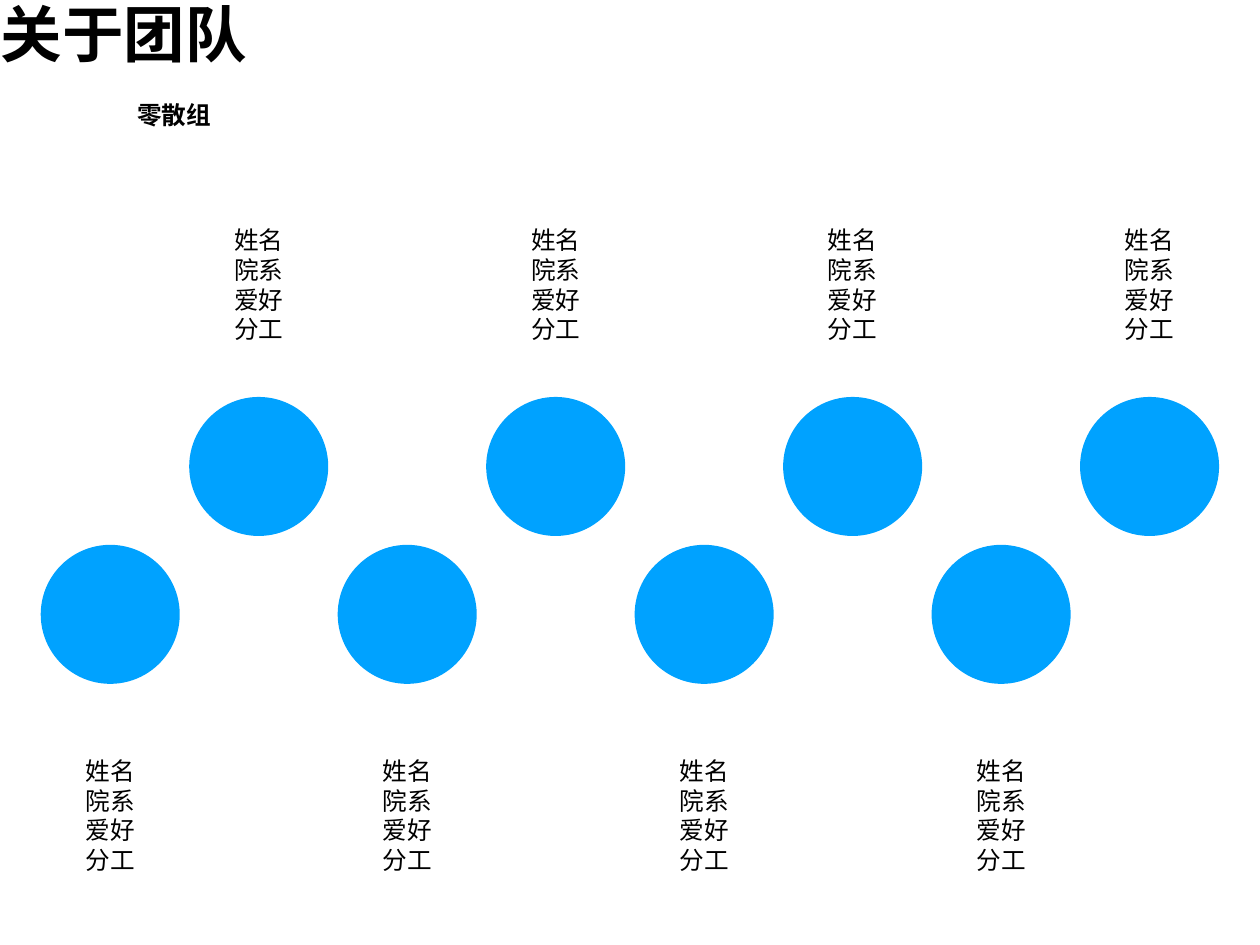
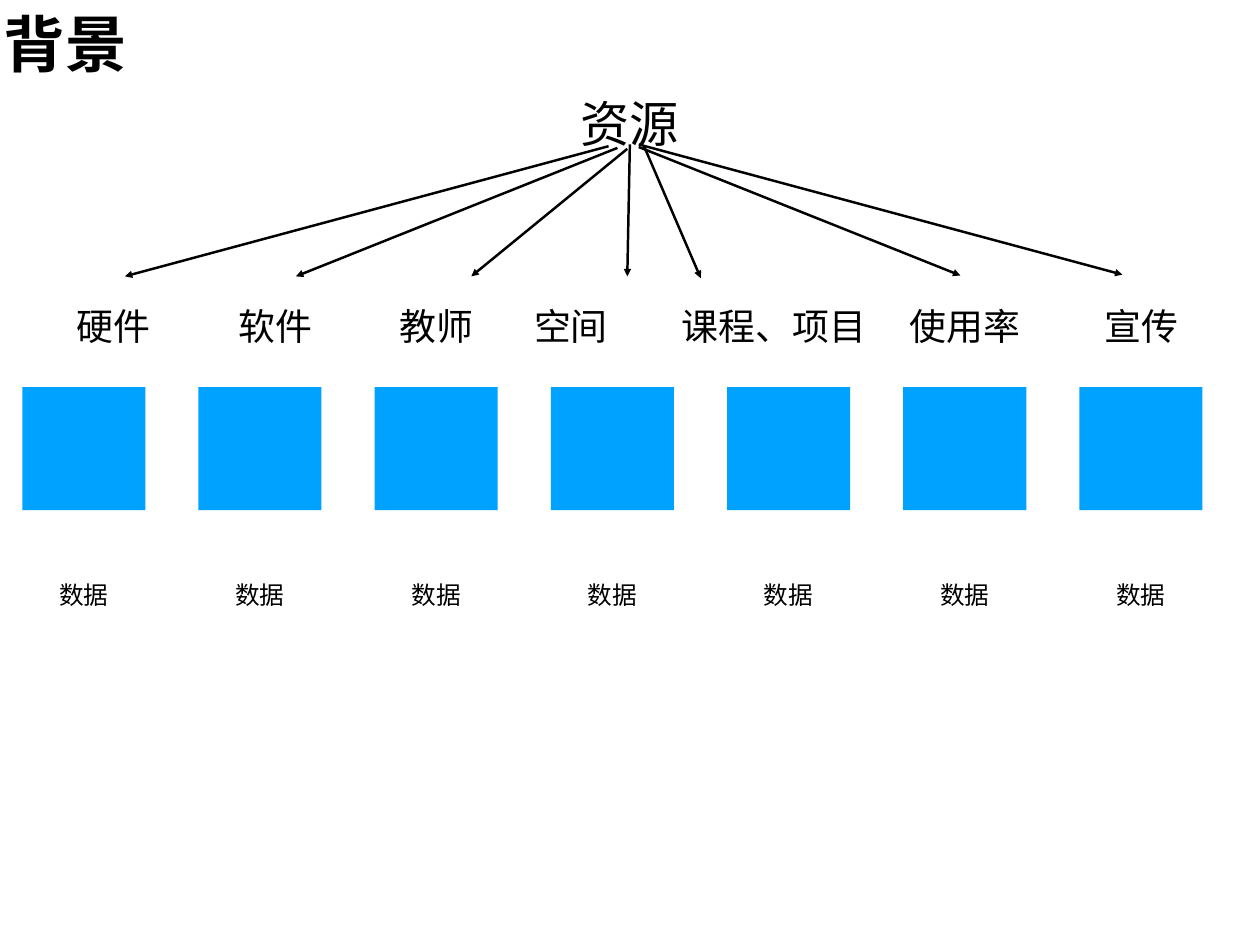
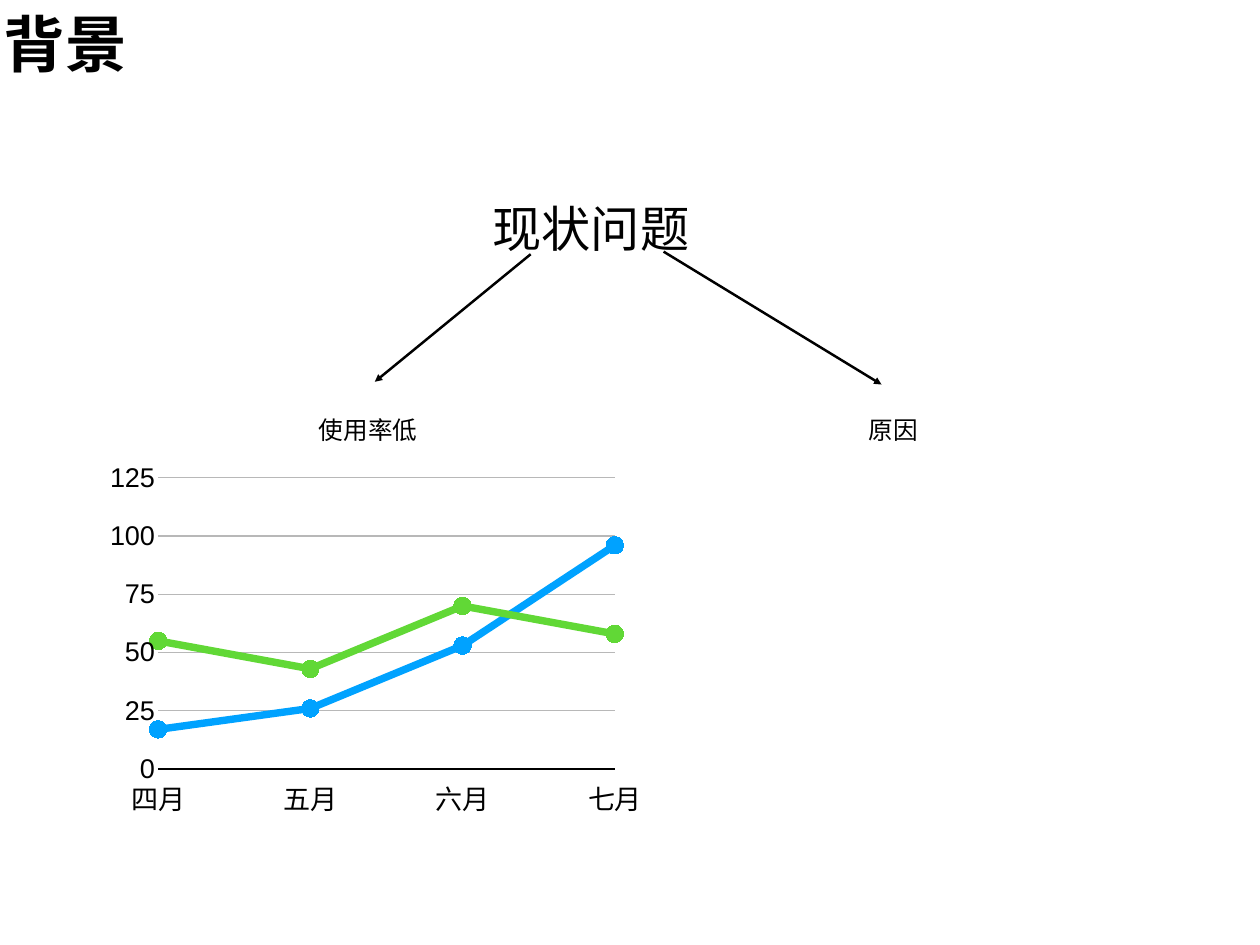
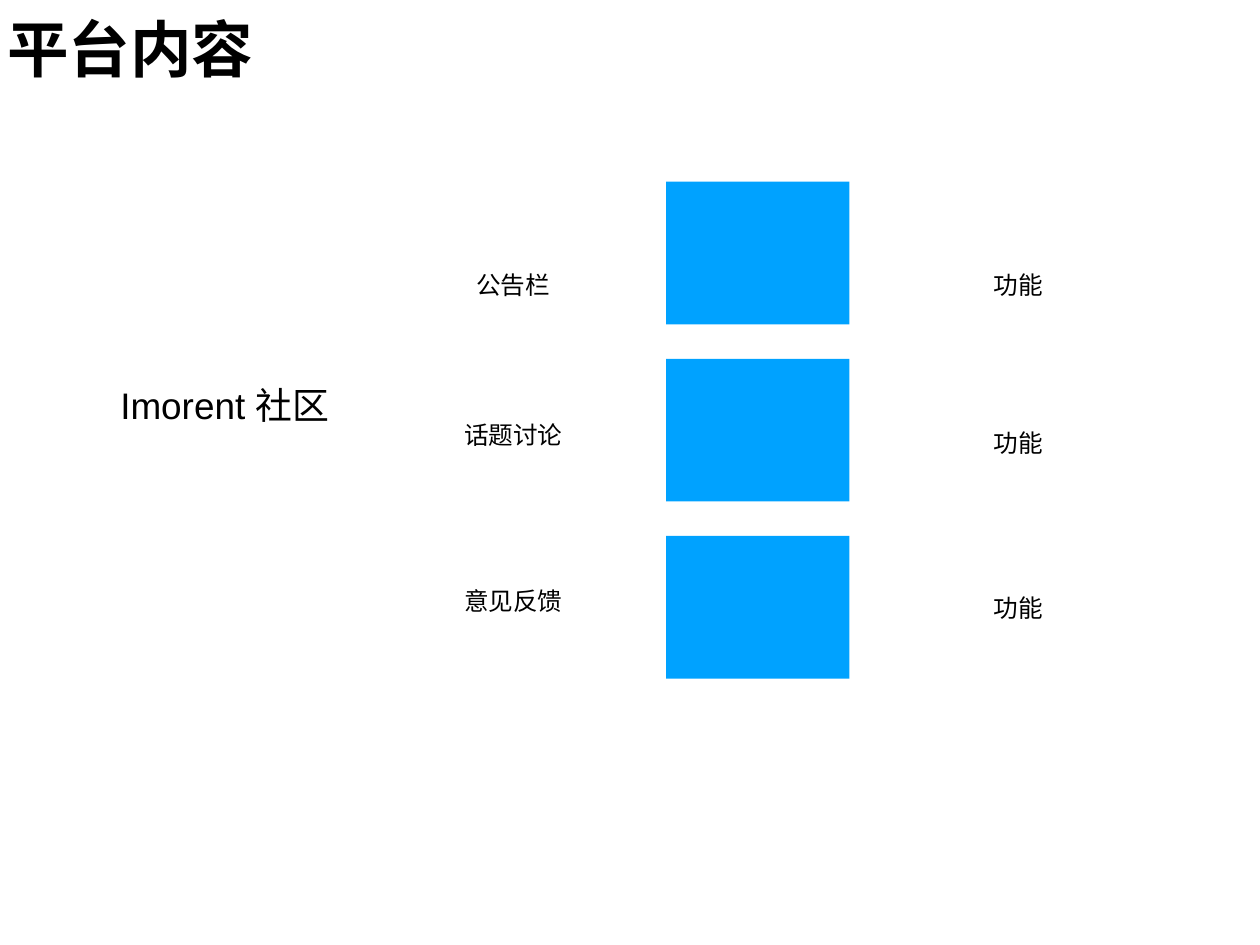
from dataclasses import dataclass

from lxml import etree
from pptx import Presentation
from pptx import util as u
from pptx.chart.data import CategoryChartData
from pptx.dml.color import RGBColor
from pptx.enum import chart as ch, shapes, text
from pptx.oxml import parse_xml
from pptx.oxml.ns import nsdecls, qn

FONT = "Arial"
BLACK, BLUE, GREEN, GREY = "000000", "00A2FF", "61D836", "B8B8B8"
BODY, HEAD, MAIN, TITLE = 20, 30, 40, 50
INSET = 4


@dataclass
class Box:
    x: float
    y: float
    w: float
    h: float

    def pts(self) -> tuple:
        return tuple(u.Pt(n) for n in (self.x, self.y, self.w, self.h))


@dataclass
class Arrow:
    x1: float
    y1: float
    x2: float
    y2: float


@dataclass
class Line:
    name: str
    vals: tuple
    color: str


def rgb(code: str) -> RGBColor:
    return RGBColor.from_string(code)


def style(frame, size: float, bold: bool = False, wrap: bool = True,
          align=text.PP_ALIGN.CENTER) -> None:
    """Set the frame and run format shared by all text."""
    frame.word_wrap = wrap
    frame.auto_size = text.MSO_AUTO_SIZE.SHAPE_TO_FIT_TEXT
    frame.vertical_anchor = text.MSO_ANCHOR.MIDDLE
    frame.margin_left = frame.margin_right = u.Pt(INSET)
    frame.margin_top = frame.margin_bottom = u.Pt(INSET)
    for para in frame.paragraphs:
        para.alignment = align
        for run in para.runs:
            font = run.font
            font.name, font.size, font.bold = FONT, u.Pt(size), bold
            font.color.rgb = rgb(BLACK)
            props = run._r.get_or_add_rPr()
            etree.SubElement(props, qn("a:ea")).set("typeface", FONT)


def label(slide, box: Box, words: str, size: float = BODY, **look) -> None:
    frame = slide.shapes.add_textbox(*box.pts()).text_frame
    frame.text = words
    style(frame, size, **look)


def block(slide, box: Box, kind=shapes.MSO_SHAPE.RECTANGLE) -> None:
    shape = slide.shapes.add_shape(kind, *box.pts())
    shape.shadow.inherit = False
    shape.fill.solid()
    shape.fill.fore_color.rgb = rgb(BLUE)
    shape.line.fill.background()


def arrow(slide, a: Arrow) -> None:
    ends = (u.Pt(n) for n in (a.x1, a.y1, a.x2, a.y2))
    line = slide.shapes.add_connector(shapes.MSO_CONNECTOR.STRAIGHT, *ends)
    line.line.color.rgb = rgb(BLACK)
    line.line.width = u.Pt(2)
    tip = etree.SubElement(line.line._get_or_add_ln(), qn("a:tailEnd"))
    tip.set("type", "triangle")
    etree.SubElement(line._element.spPr, qn("a:effectLst"))


def start(deck, words: str, box: Box):
    """Add a title-only slide with its heading."""
    slide = deck.slides.add_slide(deck.slide_layouts[5])
    title = slide.shapes.title
    title.left, title.top, title.width, title.height = box.pts()
    title.text_frame.text = words
    style(title.text_frame, TITLE, bold=True, wrap=False)
    return slide


def axis_font(axis) -> None:
    font = axis.tick_labels.font
    font.name, font.size = FONT, u.Pt(22)
    font.color.rgb = rgb(BLACK)
    axis.major_tick_mark = axis.minor_tick_mark = ch.XL_TICK_MARK.NONE


def trend(slide, box: Box, cats: tuple, lines: tuple) -> None:
    data = CategoryChartData(number_format="General")
    data.categories = cats
    for line in lines:
        data.add_series(line.name, line.vals)
    kind = ch.XL_CHART_TYPE.LINE_MARKERS
    chart = slide.shapes.add_chart(kind, *box.pts(), data).chart
    chart.has_legend = chart.has_title = False
    chart.font.name, chart.font.size = FONT, u.Pt(10)
    chart.plots[0].vary_by_categories = False

    # Axes
    cat, val = chart.category_axis, chart.value_axis
    axis_font(cat)
    axis_font(val)
    cat.format.line.color.rgb = rgb(BLACK)
    cat.format.line.width = u.Pt(1)
    cat.tick_label_position = ch.XL_TICK_LABEL_POSITION.LOW
    val.minimum_scale, val.maximum_scale, val.major_unit = 0, 125, 25
    val.format.line.fill.background()
    grid = val.major_gridlines.format.line
    grid.color.rgb, grid.width = rgb(GREY), u.Pt(1)

    # Series
    for series, line in zip(chart.plots[0].series, lines):
        series.smooth = False
        series.format.line.color.rgb = rgb(line.color)
        series.format.line.width = u.Pt(6)
        mark = series.marker
        mark.style, mark.size = ch.XL_MARKER_STYLE.CIRCLE, 14
        mark.format.fill.solid()
        mark.format.fill.fore_color.rgb = rgb(line.color)
        mark.format.line.fill.background()

    # Plot position, with the first and last points on the edges
    area = chart._chartSpace.find(".//" + qn("c:plotArea"))
    for old in area.findall(qn("c:layout")):
        area.remove(old)
    spots = (("x", 0.12), ("y", 0.09), ("w", 0.83), ("h", 0.77))
    modes = "".join(f'<c:{k}Mode val="edge"/>' for k in "xy")
    sizes = "".join(f'<c:{k} val="{v}"/>' for k, v in spots)
    area.insert(0, parse_xml(
        f'<c:layout {nsdecls("c")}><c:manualLayout>'
        f'<c:layoutTarget val="inner"/>{modes}{sizes}'
        f'</c:manualLayout></c:layout>'))
    unit = area.find(".//" + qn("c:majorUnit"))
    unit.addprevious(parse_xml(
        f'<c:crossBetween {nsdecls("c")} val="midCat"/>'))


def team(deck) -> None:
    slide = start(deck, "关于团队", Box(-4, -12, 209, 78))
    label(slide, Box(107, 75, 69, 36), "零散组", bold=True, wrap=False)
    # Members alternate between a lower and an upper row
    for i in range(8):
        x = 33.1 + 120.67 * i
        y, top = (322.6, 175) if i % 2 else (442.8, 606.2)
        block(slide, Box(x, y, 113, 113), shapes.MSO_SHAPE.OVAL)
        label(slide, Box(x + 28.8, top, 55.4, 112.3),
              "姓名\n院系\n爱好\n分工", wrap=False)


def means(deck) -> None:
    slide = start(deck, "背景", Box(-1.4, -4.3, 109, 78))
    label(slide, Box(339, 45.4, 345.6, 108.7), "资源", MAIN)
    # Kinds of resource
    kinds = (("硬件", 41.8, 101.5), ("软件", 172.8, 101.5),
             ("教师", 303.8, 101.5), ("空间", 413.3, 101.5),
             ("课程、项目", 550, 158.4), ("使用率", 704.9, 158.4),
             ("宣传", 848.2, 158.4))
    for i, (words, x, w) in enumerate(kinds):
        label(slide, Box(x, 221.8, w, 85), words, HEAD)
        left = 18.1 + 143.2 * i
        block(slide, Box(left, 314.6, 100, 100))
        label(slide, Box(left - 0.8, 454.3, 101.6, 58.3), "数据")
    for a in (Arrow(494.6, 118.8, 101.5, 224.6),
              Arrow(501.8, 120.2, 240.5, 224.6),
              Arrow(509.8, 121, 383, 224.6),
              Arrow(511.9, 117.4, 509.8, 224.6),
              Arrow(519.1, 117.4, 912.2, 223.2),
              Arrow(519.1, 119.5, 780.5, 223.9),
              Arrow(523.4, 118.8, 569.5, 226.1)):
        arrow(slide, a)


def issues(deck) -> None:
    slide = start(deck, "背景", Box(-1.4, -4.3, 109, 78))
    label(slide, Box(307.4, 131, 345.6, 108.7), "现状问题", MAIN)
    label(slide, Box(248.4, 319.7, 101.5, 58.3), "使用率低")
    label(slide, Box(702, 319.7, 101.5, 58.3), "原因",
          align=text.PP_ALIGN.JUSTIFY)
    arrow(slide, Arrow(431.3, 206.6, 304.6, 310.3))
    arrow(slide, Arrow(539.3, 204.5, 716.4, 312.5))
    trend(slide, Box(74.9, 360.7, 447.1, 307.4),
          ("四月", "五月", "六月", "七月"),
          (Line("Series 1", (17, 26, 53, 96), BLUE),
           Line("Series 2", (55, 43, 70, 58), GREEN)))


def site(deck) -> None:
    slide = start(deck, "平台内容", Box(1.4, 0, 209, 78))
    label(slide, Box(10, 286.6, 345.6, 85), "Imorent 社区", HEAD)
    # Section name, preview block and function in each row
    rows = (("公告栏", 202.3, 202.3), ("话题讨论", 324, 330.5),
            ("意见反馈", 458.6, 464.4))
    for i, (words, y, side) in enumerate(rows):
        label(slide, Box(352, y, 130.3, 58.3), words)
        block(slide, Box(541.4, 147.6 + 144 * i, 149, 116))
        label(slide, Box(762.5, side, 130.3, 58.3), "功能")


def main() -> None:
    deck = Presentation()
    deck.slide_width, deck.slide_height = u.Pt(1024), u.Pt(768)
    for build in (team, means, issues, site):
        build(deck)
    deck.save("out.pptx")


if __name__ == "__main__":
    main()
